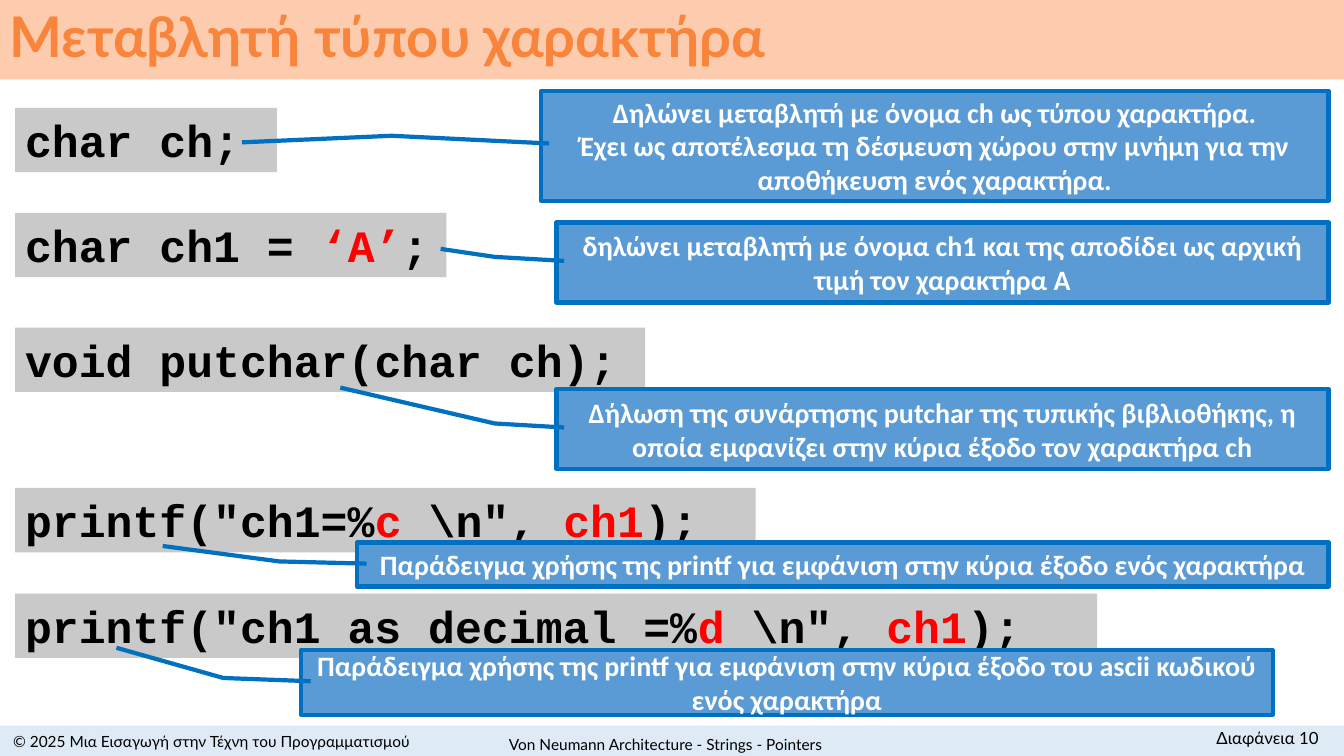
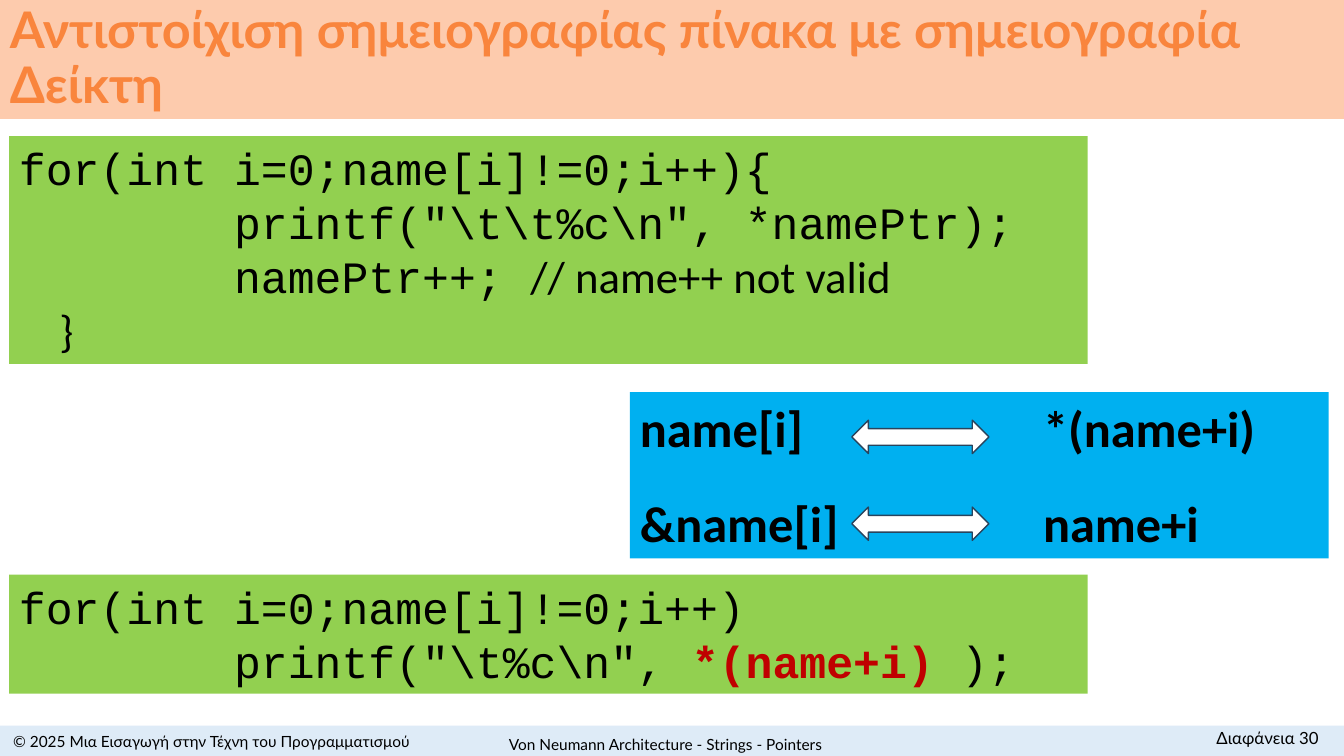
from lxml import etree
from pptx import Presentation
from pptx import util as u
from pptx.dml.color import RGBColor
from pptx.enum import shapes, text
from pptx.oxml.ns import qn

Pt = u.Pt
RECTANGLE = shapes.MSO_SHAPE.RECTANGLE
TOP, MIDDLE = text.MSO_ANCHOR.TOP, text.MSO_ANCHOR.MIDDLE
LEFT, CENTER, RIGHT = text.PP_ALIGN.LEFT, text.PP_ALIGN.CENTER, text.PP_ALIGN.RIGHT

WIDTH, HEIGHT = 960, 540
BLACK, WHITE, RED, DARK_RED = "000000", "FFFFFF", "FF0000", "C00000"
TITLE_FILL, TITLE_COLOR, FOOTER_FILL = "FDCBAD", "F9853D", "DEEBF7"
GRAY, GREEN, CYAN = "C9C9C9", "92D050", "00B0F0"
CALLOUT_FILL, CALLOUT_LINE, ARROW_LINE = "5B9BD5", "0070C0", "28445D"

COPYRIGHT = "© 2025 Μια Εισαγωγή στην Τέχνη του Προγραμματισμού"
LECTURE = "Von Neumann Architecture - Strings - Pointers"

# A paragraph is a list of runs: plain text, or text with its own style.
ACCENT = {"color": RED}
STRONG = {"color": DARK_RED, "bold": True}
COMMENT = {"name": "Calibri"}

STATEMENTS = [  # top, width, runs
    (77, 187, ["char ch;"]),
    (152, 308, ["char ch1 = ", ("‘A’", ACCENT), ";"]),
    (234, 450, ["void putchar(char ch);"]),
    (348.5, 529, ['printf("ch1=%', ("c", ACCENT), ' \\n", ', ("ch1", ACCENT), ");"]),
    (424, 773, ['printf("ch1 as decimal =%', ("d", ACCENT), ' \\n", ', ("ch1", ACCENT), ");"]),
]

ELBOW = (0.43, -0.08)
CALLOUTS = [  # box, elbow and tip of the pointer (y, x as shares of the box), lines
    ((386.6, 64.8, 562.4, 78.5), (0.41, -0.19), (0.47, -0.38),
     ["Δηλώνει μεταβλητή με όνομα ch ως τύπου χαρακτήρα.",
      "Έχει ως αποτέλεσμα τη δέσμευση χώρου στην μνήμη για την αποθήκευση ενός χαρακτήρα."]),
    ((397.5, 159, 551.5, 57), ELBOW, (0.33, -0.15),
     ["δηλώνει μεταβλητή με όνομα ch1 και της αποδίδει ως αρχική τιμή τον χαρακτήρα Α"]),
    ((397.5, 278, 551.5, 57), ELBOW, (-0.02, -0.28),
     ["Δήλωση της συνάρτησης putchar της τυπικής βιβλιοθήκης, η οποία εμφανίζει "
      "στην κύρια έξοδο τον χαρακτήρα ch"]),
    ((255, 387.5, 694, 31.5), ELBOW, (0.08, -0.2),
     ["Παράδειγμα χρήσης της printf για εμφάνιση στην κύρια έξοδο ενός χαρακτήρα"]),
    ((215, 464.5, 694, 46), ELBOW, (-0.04, -0.19),
     ["Παράδειγμα χρήσης της printf για εμφάνιση στην κύρια έξοδο του ascii κωδικού "
      "ενός χαρακτήρα"]),
]

LOOPS = [  # top, height, paragraphs
    (97.2, 162.8, [
        ["for(int i=0;name[i]!=0;i++){"],
        ['        printf("\\t\\t%c\\n", *namePtr);'],
        ["        namePtr++; ", ("// name++ not valid", COMMENT)],
        [("    }", COMMENT)],
    ]),
    (410.4, 85, [
        ["for(int i=0;name[i]!=0;i++)"],
        ['        printf("\\t%c\\n", ', ("*(name+i) ", STRONG), ");"],
    ]),
]

EQUIVALENTS = [("name[i]", "*(name+i)"), ("&name[i]", "name+i")]
ARROW_TOPS = [300.2, 362.2]


def rgb(color):
    return RGBColor.from_string(color)


def add_text(shape, paragraphs, name, size, color=BLACK, bold=False, align=LEFT, anchor=TOP):
    frame = shape.text_frame
    frame.word_wrap = True
    frame.vertical_anchor = anchor
    for index, runs in enumerate(paragraphs):
        paragraph = frame.add_paragraph() if index else frame.paragraphs[0]
        paragraph.alignment = align
        for item in runs:
            content, own_style = (item, {}) if isinstance(item, str) else item
            style = {"name": name, "color": color, "bold": bold, **own_style}
            run = paragraph.add_run()
            run.text = content
            run.font.size = Pt(size)
            run.font.name = style["name"]
            run.font.bold = style["bold"]
            run.font.color.rgb = rgb(style["color"])
    return frame


def add_box(slide, box, fill, kind=RECTANGLE, line=None, line_width=1):
    shape = slide.shapes.add_shape(kind, *map(Pt, box))
    shape.shadow.inherit = False
    shape.fill.solid()
    shape.fill.fore_color.rgb = rgb(fill)
    if line:
        shape.line.color.rgb = rgb(line)
        shape.line.width = Pt(line_width)
    else:
        shape.line.fill.background()
    return shape


def add_tab_stop(paragraph, position):
    tabs = etree.SubElement(paragraph._p.get_or_add_pPr(), qn("a:tabLst"))
    etree.SubElement(tabs, qn("a:tab"), pos=str(Pt(position)), algn="l")


def add_base_slide(presentation, title, title_height, title_size, number):
    """Add a blank slide with the title band and the footer."""
    slide = presentation.slides.add_slide(presentation.slide_layouts[6])
    band = add_box(slide, (0, 0, WIDTH, title_height), TITLE_FILL)
    frame = add_text(band, [[title]], "Lato", title_size, TITLE_COLOR, True, anchor=MIDDLE)
    frame.paragraphs[0].line_spacing = 0.9

    add_box(slide, (0, 518.4, WIDTH, 21.6), FOOTER_FILL)
    footers = [
        ((0, 520, 302.4, 18.7), COPYRIGHT, 11, CENTER, MIDDLE),
        ((800.6, 516.2, 148.4, 21.6), f"Διαφάνεια {number}", 12, RIGHT, TOP),
        ((293, 520.6, 365, 21.6), LECTURE, 11, CENTER, MIDDLE),
    ]
    for box, content, size, align, anchor in footers:
        label = slide.shapes.add_textbox(*map(Pt, box))
        add_text(label, [[content]], "Lato", size, align=align, anchor=anchor)
    return slide


def add_character_slide(presentation):
    slide = add_base_slide(presentation, "Μεταβλητή τύπου χαρακτήρα", 56.8, 40, 10)
    for top, width, runs in STATEMENTS:
        statement = add_box(slide, (10.8, top, width, 46), GRAY)
        add_text(statement, [runs], "Courier New", 32, bold=True)
    for box, elbow, tip, lines in CALLOUTS:
        callout = add_box(slide, box, CALLOUT_FILL, shapes.MSO_SHAPE.LINE_CALLOUT_2,
                          CALLOUT_LINE, 3)
        for index, value in enumerate((0.48, 0.01, *elbow, *tip)):
            callout.adjustments[index] = value
        add_text(callout, [[line] for line in lines], "Calibri", 20, WHITE, True,
                 CENTER, MIDDLE)


def add_notation_slide(presentation):
    slide = add_base_slide(
        presentation, "Αντιστοίχιση σημειογραφίας πίνακα με σημειογραφία Δείκτη", 85, 36, 30)
    for top, height, paragraphs in LOOPS:
        loop = add_box(slide, (6.5, top, 770.4, height), GREEN)
        add_text(loop, paragraphs, "Courier New", 32)

    panel = add_box(slide, (450, 280, 499, 118.8), CYAN)
    rows = [["\t".join(pair)] for pair in EQUIVALENTS]
    frame = add_text(panel, rows, "Calibri", 36, bold=True)
    for paragraph in frame.paragraphs:
        add_tab_stop(paragraph, 288)
    frame.paragraphs[1].space_before = Pt(24.4)
    for top in ARROW_TOPS:
        add_box(slide, (608.4, top, 98, 23.8), WHITE,
                shapes.MSO_SHAPE.LEFT_RIGHT_ARROW, ARROW_LINE)


def main():
    presentation = Presentation()
    presentation.slide_width, presentation.slide_height = Pt(WIDTH), Pt(HEIGHT)
    add_character_slide(presentation)
    add_notation_slide(presentation)
    presentation.save("out.pptx")


if __name__ == "__main__":
    main()
